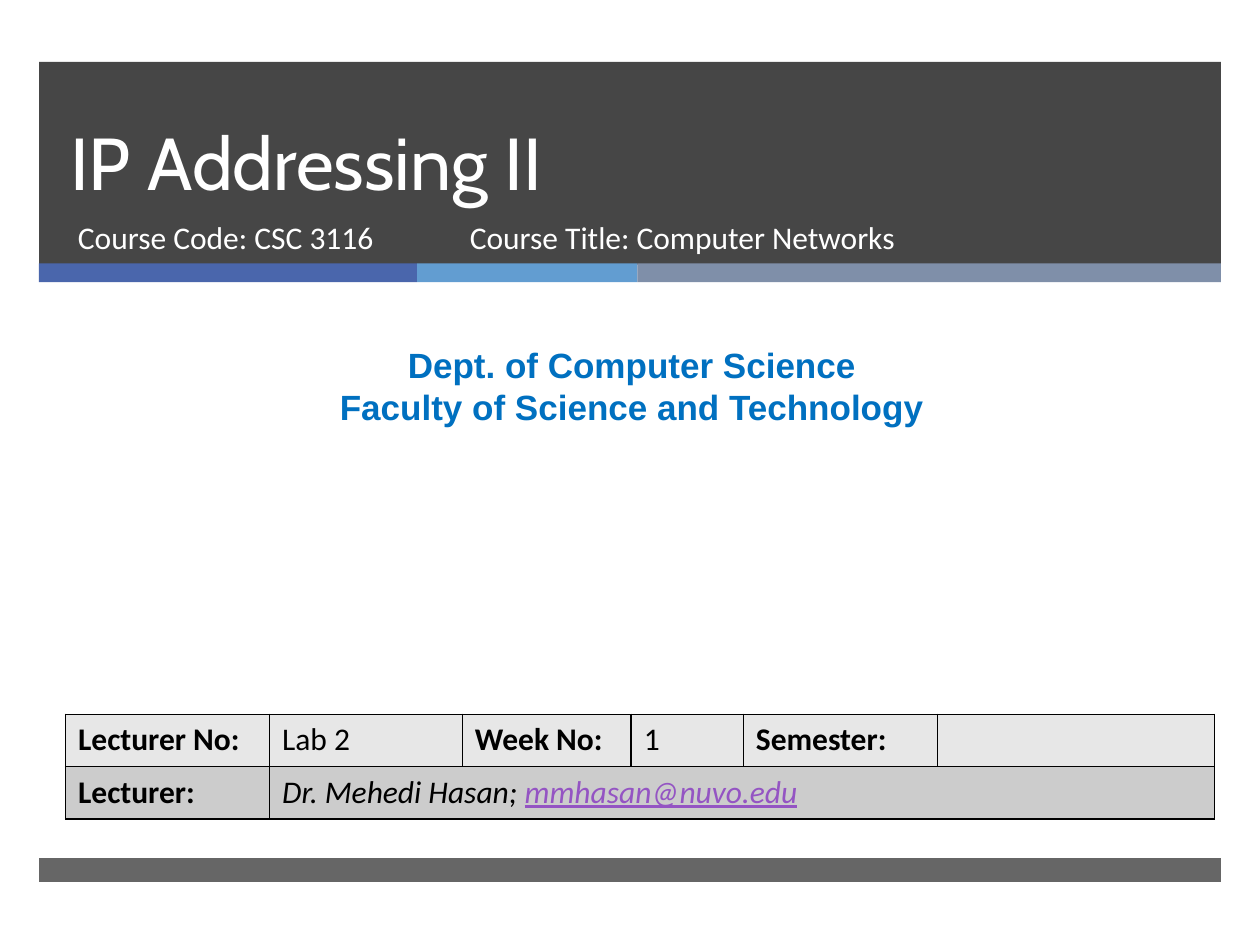
"""Build the opening slide of a lab lecture on IP addressing."""
from dataclasses import dataclass

from lxml import etree
from pptx import Presentation
from pptx import util as u
from pptx.dml.color import RGBColor
from pptx.enum import shapes, text
from pptx.oxml import ns

COLUMNS, ROWS = 100, 75
WIDTH, HEIGHT = u.Inches(10), u.Inches(7.5)

WHITE = RGBColor(0xFF, 0xFF, 0xFF)
BLACK = RGBColor(0x00, 0x00, 0x00)
CHARCOAL = RGBColor(0x26, 0x26, 0x26)
INDIGO = RGBColor(0x4A, 0x66, 0xAC)
SKY = RGBColor(0x62, 0x9D, 0xD1)
SLATE = RGBColor(0x7F, 0x8F, 0xA9)
BLUE = RGBColor(0x00, 0x70, 0xC0)
PURPLE = RGBColor(0x94, 0x54, 0xC3)
LIGHT_GREY = RGBColor(0xE7, 0xE7, 0xE7)
MID_GREY = RGBColor(0xCC, 0xCC, 0xCC)


@dataclass(frozen=True)
class Area:
    """A rectangle in grid columns and rows."""
    left: float
    top: float
    width: float
    height: float

    def place(self) -> tuple[int, int, int, int]:
        """Return the rectangle as slide lengths."""
        return across(self.left), down(self.top), across(self.width), down(self.height)


@dataclass(frozen=True)
class Band:
    """A filled strip with an opacity in percent."""
    area: Area
    color: RGBColor
    opacity: int = 100


@dataclass(frozen=True)
class Span:
    """A piece of text in one style."""
    words: str
    size: int = 18
    font: str = "Calibri"
    color: RGBColor = BLACK
    bold: bool = False
    italic: bool = False
    underline: bool = False


@dataclass(frozen=True)
class Caption:
    """A text box with one span in each paragraph."""
    area: Area
    spans: tuple[Span, ...]
    align: text.PP_ALIGN = text.PP_ALIGN.LEFT
    anchor: text.MSO_ANCHOR = text.MSO_ANCHOR.TOP
    line_points: int | None = None


MARGIN, FULL = 3.1, 93.8
STRIPE_TOP, STRIPE_HEIGHT = 20.9, 1.5
STRIPES = ((30, INDIGO), (17.5, SKY), (46.3, SLATE))

CAPTIONS = (
    Caption(Area(4.6, 4.9, 85.4, 11.9), (Span("IP Addressing II", 42, "Cabin", WHITE),),
            anchor=text.MSO_ANCHOR.BOTTOM, line_points=46),
    Caption(Area(5.2, 16.8, 30.5, 5.3), (Span("Course Code: CSC 3116", color=WHITE),)),
    Caption(Area(0.8, 26.8, 98.7, 7.7),
            tuple(Span(words, 20, "Arial", BLUE, bold=True) for words in
                  ("Dept. of Computer Science", "Faculty of Science and Technology")),
            align=text.PP_ALIGN.CENTER),
    Caption(Area(36.3, 16.8, 45.5, 5.3),
            (Span("Course Title: Computer Networks", color=WHITE),)),
)

TABLE_AREA = Area(5.2, 56.7, 91.2, 8.3)
TABLE_COLUMNS = (16.2, 15.3, 13.4, 8.9, 15.4, 22)
TABLE_ROWS = (
    (LIGHT_GREY, (
        (Span("Lecturer No:", bold=True),), (Span("Lab 2"),),
        (Span("Week No:", bold=True),), (Span("1"),),
        (Span("Semester:", bold=True),), ())),
    (MID_GREY, (
        (Span("Lecturer:", bold=True),),
        (Span("Dr. Mehedi Hasan; ", italic=True),
         Span("mmhasan@nuvo.edu", color=PURPLE, italic=True, underline=True)),
        (), (), (), ())),
)


def across(columns: float) -> int:
    """Convert grid columns to a slide length."""
    return round(WIDTH * columns / COLUMNS)


def down(rows: float) -> int:
    """Convert grid rows to a slide length."""
    return round(HEIGHT * rows / ROWS)


def add_span(para, span: Span) -> None:
    """Add one styled run to a paragraph."""
    run = para.add_run()
    run.text = span.words
    font = run.font
    font.size, font.name = u.Pt(span.size), span.font
    font.bold, font.italic, font.underline = span.bold, span.italic, span.underline
    font.color.rgb = span.color


def draw_band(page, band: Band) -> None:
    """Draw a strip without outline or shadow."""
    box = page.shapes.add_shape(shapes.MSO_SHAPE.RECTANGLE, *band.area.place())
    box.shadow.inherit = False
    box.line.fill.background()
    box.fill.solid()
    box.fill.fore_color.rgb = band.color
    if band.opacity < 100:
        color = box.fill._xPr.find(ns.qn("a:solidFill"))[0]
        etree.SubElement(color, ns.qn("a:alpha"), val=str(band.opacity * 1000))


def draw_caption(page, caption: Caption) -> None:
    """Draw a text box, one paragraph for each span."""
    frame = page.shapes.add_textbox(*caption.area.place()).text_frame
    frame.word_wrap = True
    frame.vertical_anchor = caption.anchor
    for index, span in enumerate(caption.spans):
        para = frame.add_paragraph() if index else frame.paragraphs[0]
        para.alignment = caption.align
        if caption.line_points:
            para.line_spacing = u.Pt(caption.line_points)
        add_span(para, span)


def add_borders(cell, color: RGBColor, points: float) -> None:
    """Rule all four sides of a table cell."""
    properties = cell._tc.get_or_add_tcPr()
    for index, side in enumerate(("lnL", "lnR", "lnT", "lnB")):
        line = etree.Element(ns.qn(f"a:{side}"), w=str(u.Pt(points)))
        fill = etree.SubElement(line, ns.qn("a:solidFill"))
        etree.SubElement(fill, ns.qn("a:srgbClr"), val=str(color))
        properties.insert(index, line)


def draw_table(page) -> None:
    """Draw the lecture details as a ruled table."""
    table = page.shapes.add_table(
        len(TABLE_ROWS), len(TABLE_COLUMNS), *TABLE_AREA.place()).table
    for column, width in zip(table.columns, TABLE_COLUMNS):
        column.width = across(width)
    for row, (shade, contents) in enumerate(TABLE_ROWS):
        for column, spans in enumerate(contents):
            cell = table.cell(row, column)
            cell.fill.solid()
            cell.fill.fore_color.rgb = shade
            add_borders(cell, BLACK, 1)
            for span in spans:
                add_span(cell.text_frame.paragraphs[0], span)
    table.cell(1, 1).merge(table.cell(1, len(TABLE_COLUMNS) - 1))


def main() -> None:
    """Build and save the deck."""
    deck = Presentation()
    deck.slide_width, deck.slide_height = WIDTH, HEIGHT
    page = deck.slides.add_slide(deck.slide_layouts[6])
    draw_band(page, Band(Area(MARGIN, 4.9, FULL, 16.1), CHARCOAL, 85))
    left = MARGIN
    for width, color in STRIPES:
        draw_band(page, Band(Area(left, STRIPE_TOP, width, STRIPE_HEIGHT), color))
        left += width
    draw_band(page, Band(Area(MARGIN, 68.1, FULL, 1.9), CHARCOAL, 70))
    for caption in CAPTIONS:
        draw_caption(page, caption)
    draw_table(page)
    deck.save("out.pptx")


if __name__ == "__main__":
    main()
